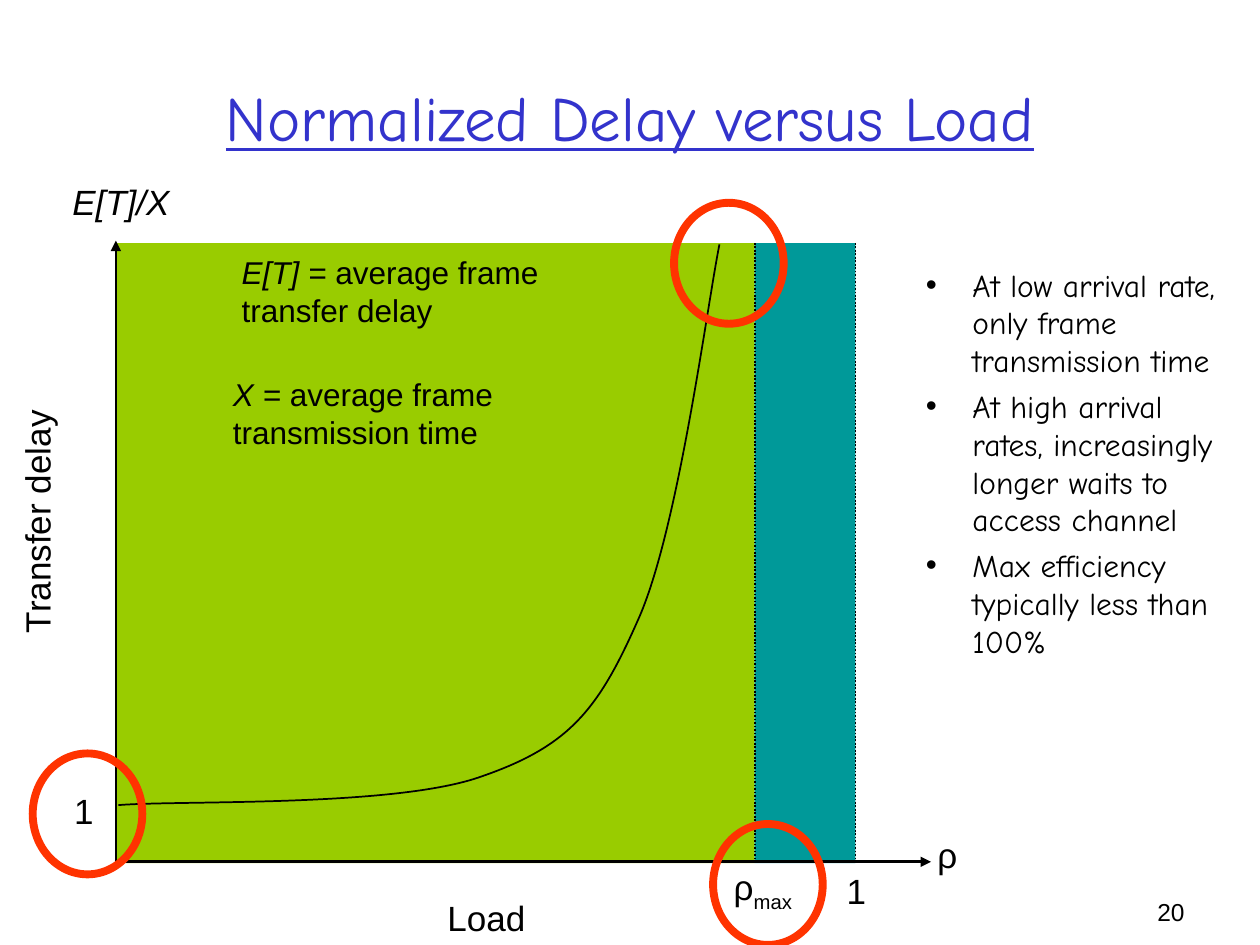
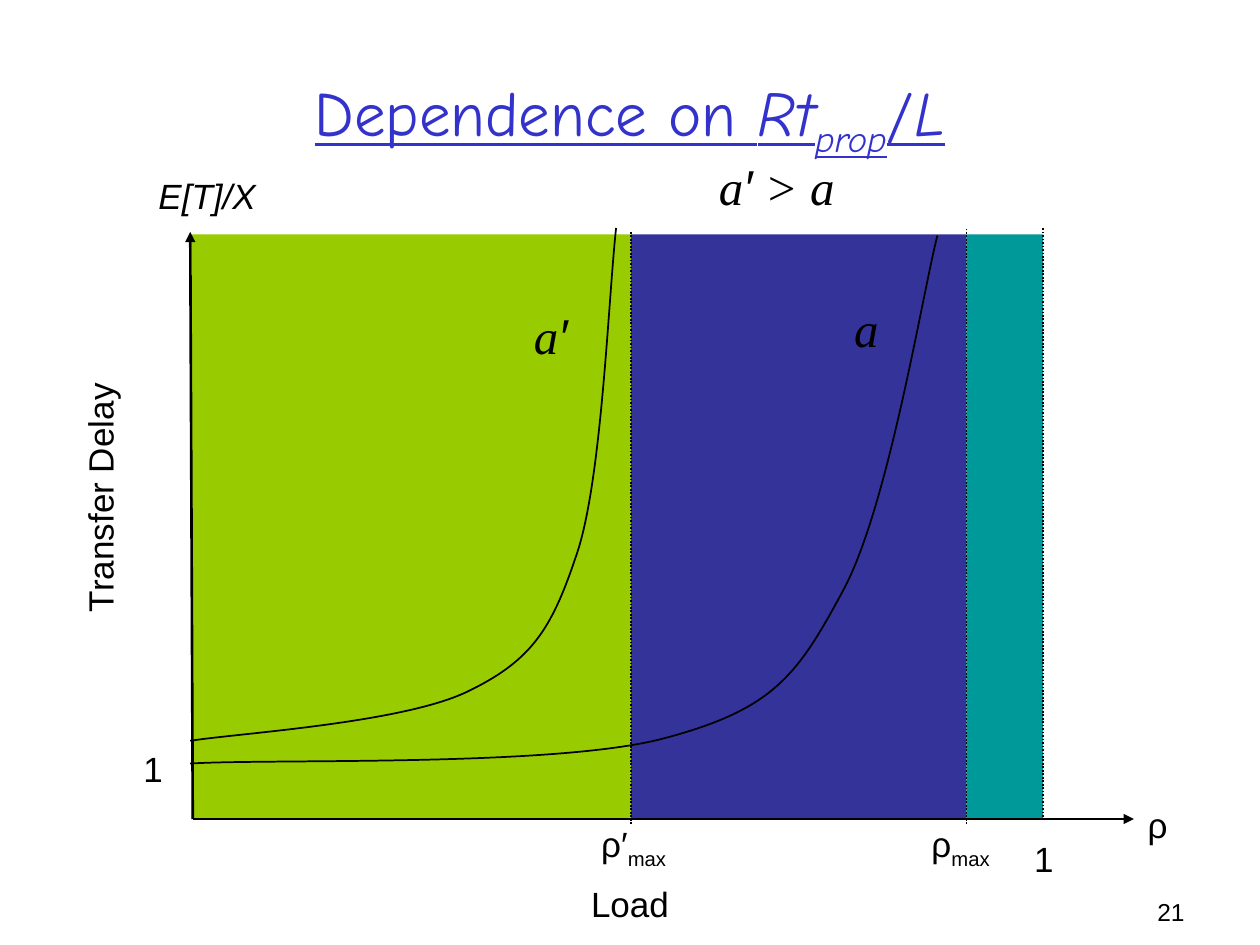
from dataclasses import dataclass
from itertools import pairwise

from lxml.etree import SubElement
from pptx import Presentation
from pptx.dml.color import RGBColor as Rgb
from pptx.enum.dml import MSO_LINE as Dash
from pptx.enum.shapes import MSO_CONNECTOR as Link, MSO_SHAPE as Kind
from pptx.enum.text import MSO_ANCHOR as Anchor, PP_ALIGN as Align
from pptx.oxml.ns import qn
from pptx.util import Pt

SCALE = 9144  # EMU in one px, 100 px to the inch


@dataclass(frozen=True)
class Theme:
    ink: str = "000000"
    title: str = "3333CC"
    green: str = "99CC00"
    blue: str = "333399"
    teal: str = "009999"
    ring: str = "FF3300"
    sans: str = "Arial"
    hand: str = "Comic Neue"
    serif: str = "Times New Roman"
    head: int = 36
    math: int = 28
    label: int = 20
    body: int = 18
    foot: int = 14


THEME = Theme()


def px(*nums):
    return [n * SCALE for n in nums]


# Text
def style(font, size, face=THEME.sans, color=THEME.ink):
    font.size, font.name = Pt(size), face
    font.color.rgb = Rgb.from_string(color)


def add_runs(para, runs):
    """Runs are plain text or (text, marks): i italic, s subscript, a sans."""
    for item in [runs] if isinstance(runs, str) else runs:
        text, marks = (item, "") if isinstance(item, str) else item
        run = para.add_run()
        run.text = text
        if "i" in marks:
            run.font.italic = True
        if "s" in marks:
            run._r.get_or_add_rPr().set("baseline", "-25000")
        if "a" in marks:
            run.font.name = THEME.sans


def add_text(slide, box, lines, size=THEME.label, face=THEME.sans,
             color=THEME.ink, align=Align.CENTER, anchor=Anchor.MIDDLE,
             wrap=False, turn=0):
    shape = slide.shapes.add_textbox(*px(*box))
    shape.rotation = turn
    frame = shape.text_frame
    frame.word_wrap, frame.vertical_anchor = wrap, anchor
    for num, runs in enumerate(lines):
        para = frame.add_paragraph() if num else frame.paragraphs[0]
        para.alignment = align
        style(para.font, size, face, color)
        add_runs(para, runs)
    return frame


def add_title(slide, runs):
    frame = add_text(slide, (50, 30, 900, 125), [runs], THEME.head,
                     THEME.hand, THEME.title, wrap=True)
    frame.paragraphs[0].font.underline = True


def add_foot(slide, num):
    add_text(slide, (717, 707, 233, 28), [num], THEME.foot,
             align=Align.RIGHT, anchor=Anchor.TOP, wrap=True)


def add_note(slide, box, lines):
    add_text(slide, box, lines, THEME.body, align=Align.LEFT,
             anchor=Anchor.TOP, wrap=True)


def add_list(slide, box, items):
    frame = add_text(slide, box, items, THEME.body, THEME.hand,
                     align=Align.LEFT, anchor=Anchor.TOP, wrap=True)
    inset = 37 * SCALE
    for para in frame.paragraphs:
        para.space_before = Pt(4.5)
        props = para._p.get_or_add_pPr()
        props.set("marL", str(inset))
        props.set("indent", str(-inset))
        font = SubElement(props, qn("a:buFont"), typeface=THEME.sans)
        mark = SubElement(props, qn("a:buChar"), char="•")
        props.find(qn("a:defRPr")).addprevious(font)
        font.addnext(mark)


# Plot parts
def set_line(shape, width, color=THEME.ink):
    shape.line.width = Pt(width)
    shape.line.color.rgb = Rgb.from_string(color)


def add_zones(slide, top, height, edges, colors):
    for (left, right), color in zip(pairwise(edges), colors):
        zone = slide.shapes.add_shape(
            Kind.RECTANGLE, *px(left, top, right - left, height))
        zone.shadow.inherit = False
        zone.fill.solid()
        zone.fill.fore_color.rgb = Rgb.from_string(color)
        zone.line.fill.background()


def add_line(slide, ends, width=1):
    line = slide.shapes.add_connector(Link.STRAIGHT, *px(*ends))
    set_line(line, width)
    SubElement(line._element.spPr, qn("a:effectLst"))
    return line


def add_axis(slide, ends):
    line = add_line(slide, ends, 1.5)
    stroke = line._element.spPr.find(qn("a:ln"))
    SubElement(stroke, qn("a:tailEnd"), type="triangle")


def add_edge(slide, x, low, high):
    add_line(slide, (x, low, x, high)).line.dash_style = Dash.ROUND_DOT


def add_curve(slide, knots):
    """Join cubic arcs; every third knot lies on the curve."""
    pen = slide.shapes.build_freeform(*knots[0], scale=SCALE)
    pen.add_line_segments(knots[1:], close=False)
    curve = pen.convert_to_shape()
    legs = list(curve._element.iter(qn("a:lnTo")))
    for first in range(0, len(legs), 3):
        trio = legs[first:first + 3]
        outline = trio[0].getparent()
        arc = SubElement(outline, qn("a:cubicBezTo"))
        for leg in trio:
            arc.append(leg[0])
            outline.remove(leg)
    curve.shadow.inherit = False
    curve.fill.background()
    set_line(curve, 1)


def add_ring(slide, left, top):
    ring = slide.shapes.add_shape(Kind.OVAL, *px(left, top, 87, 96))
    ring.shadow.inherit = False
    ring.fill.background()
    set_line(ring, 4.5, THEME.ring)


def add_labels(slide, labels):
    for left, top, width, height, runs in labels:
        add_text(slide, (left, top, width, height), [runs])


# Slides
def draw_load(slide):
    add_zones(slide, 193, 492, (93, 599, 679), (THEME.green, THEME.teal))
    add_axis(slide, (91, 684, 739, 684))
    add_axis(slide, (92, 687, 92, 191))
    for x in (679, 599):
        add_edge(slide, x, 682, 192)
    add_curve(slide, [(94, 639), (142, 635), (315, 641), (383, 616),
                      (452, 592), (475, 563), (506, 493),
                      (538, 423), (561, 244), (571, 194)])
    add_text(slide, (-70, 392, 198, 44), ["Transfer delay"], turn=270)
    add_labels(slide, [
        (345, 706, 82, 44, "Load"),
        (40, 138, 112, 44, [("E[T]/X", "i")]),
        (734, 656, 35, 44, "ρ"),
        (567, 682, 77, 48, ["ρ", ("max", "s")]),
        (662, 685, 35, 44, "1"),
        (49, 621, 35, 44, "1")])
    add_title(slide, "Normalized Delay versus Load")
    add_note(slide, (182, 196, 298, 70),
             [[("E[T] =", "i"), " average frame"], "transfer delay"])
    add_note(slide, (175, 293, 325, 70),
             [[("X =", "i"), " average frame"], "transmission time"])
    add_list(slide, (725, 206, 257, 434), [
        "At low arrival rate, only frame transmission time",
        "At high arrival rates, increasingly longer waits to access channel",
        "Max efficiency typically less than 100%"])
    for spot in ((26, 598), (535, 161), (566, 654)):
        add_ring(slide, *spot)
    add_foot(slide, "20")


def draw_ratio(slide):
    add_title(slide, ["Dependence on ", ("Rt", "i"), ("prop", "is"), "/",
                      ("L", "i")])
    add_zones(slide, 186, 464, (152, 501, 767, 828),
              (THEME.green, THEME.blue, THEME.teal))
    add_axis(slide, (153, 650, 900, 650))
    add_axis(slide, (153, 650, 151, 184))
    for x, low, high in ((828, 651, 180), (767, 654, 182), (501, 654, 183)):
        add_edge(slide, x, low, high)
    add_curve(slide, [(151, 606), (214, 602), (441, 609), (527, 586),
                      (614, 563), (633, 536), (669, 469),
                      (705, 403), (732, 234), (744, 187)])
    add_curve(slide, [(151, 588), (188, 582), (322, 574), (373, 548),
                      (424, 523), (439, 497), (459, 436),
                      (478, 375), (483, 235), (489, 181)])
    add_text(slide, (-22, 373, 202, 44), ["Transfer Delay"], turn=270)
    add_labels(slide, [
        (459, 695, 82, 44, "Load"),
        (116, 133, 97, 44, [("E[T]/X", "i")]),
        (901, 632, 35, 44, "ρ"),
        (716, 648, 93, 48, ["ρ", ("max", "s")]),
        (811, 659, 35, 44, "1"),
        (104, 588, 35, 44, "1"),
        (450, 648, 106, 48, ["ρ′", ("max", "s")])])
    prime = [("a", "i"), ("′", "ia")]
    for left, top, width, runs in ((668, 232, 39, [("a", "i")]),
                                   (411, 237, 52, prime),
                                   (558, 119, 117, prime + [(" > a", "i")])):
        add_text(slide, (left, top, width, 57), [runs], THEME.math,
                 THEME.serif)
    add_foot(slide, "21")


def main():
    deck = Presentation()
    deck.slide_width, deck.slide_height = px(1000, 750)
    for draw in (draw_load, draw_ratio):
        draw(deck.slides.add_slide(deck.slide_layouts[6]))
    deck.save("out.pptx")


if __name__ == "__main__":
    main()
